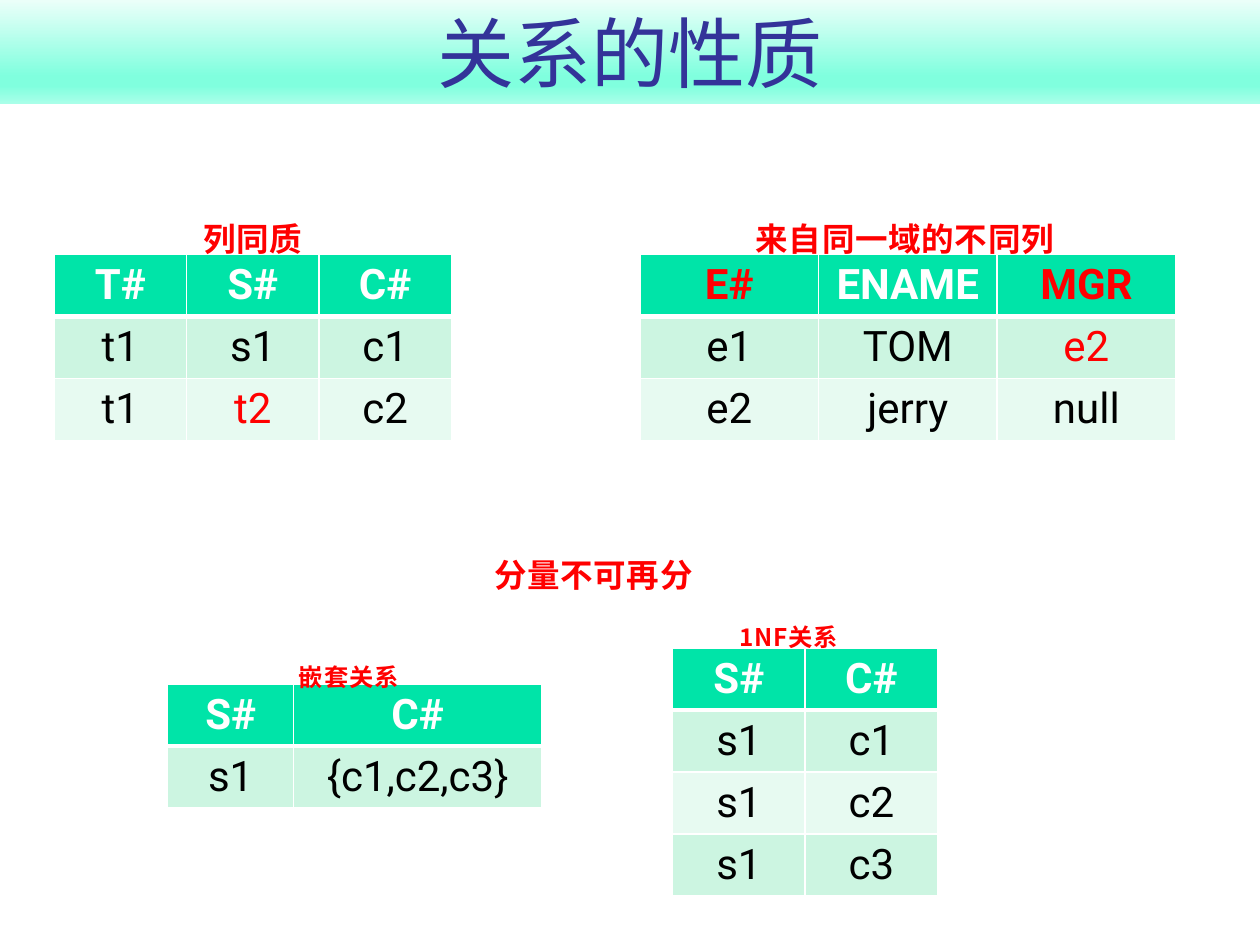
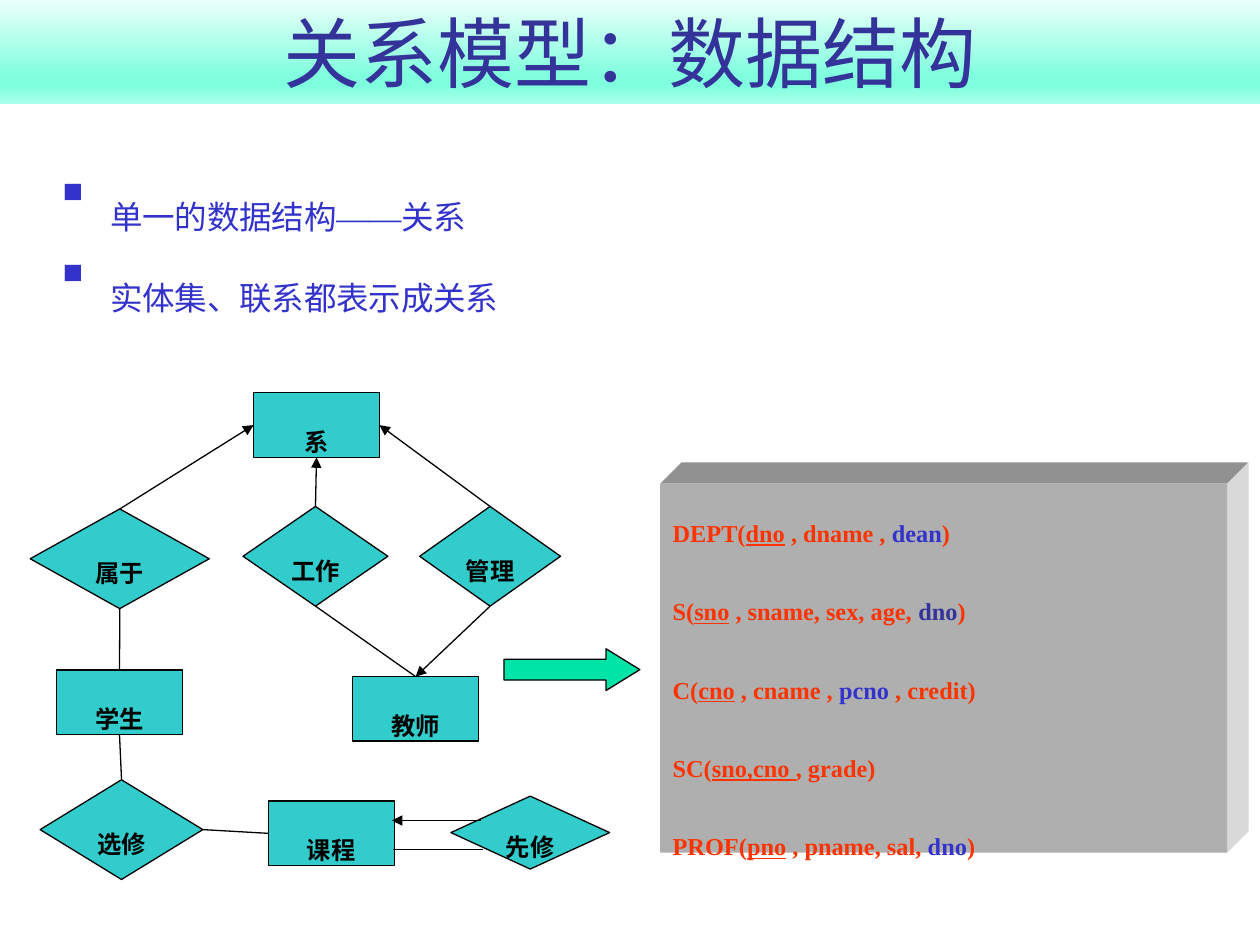
from lxml.etree import SubElement as Sub
from pptx import Presentation
from pptx.dml.color import RGBColor
from pptx.enum.shapes import MSO_CONNECTOR as Link, MSO_SHAPE as Kind
from pptx.enum.text import MSO_ANCHOR as Anchor, MSO_AUTO_SIZE as Auto, PP_ALIGN as Align
from pptx.oxml.ns import qn
from pptx.util import Cm, Pt

# Shared look
SANS, HAN, SERIF = "Roboto", "Noto Sans CJK JP", "Times New Roman"
NAVY, BLUE, RED, ORANGE = "333399", "3333CC", "FF0000", "FF3300"
BLACK, WHITE, GREEN, TEAL = "000000", "FFFFFF", "00E4A8", "33CCCC"
STRIPES = ["E7FAF1", "CCF5E1"]
FRONT, TOP, SIDE = "AFAFAF", "919191", "D9D9D9"
BAND = [(0, "F1FFFB"), (74, "80FFDE"), (83, "80FFDE"), (100, "AAFFE9")]
SUBSCRIPT = -25000

# Slide 1: (left, top), column widths, rows, red cells as (row, column)
ROW = 1.25
TABLES = [
    ((1.09, 5.13), [2.67] * 3,
     ["T# S# C#", "t1 s1 c1", "t1 t2 c2"], [(2, 1)]),
    ((12.9, 5.13), [3.6] * 3,
     ["E# ENAME MGR", "e1 TOM e2", "e2 jerry null"], [(0, 0), (0, 2), (1, 2)]),
    ((3.38, 13.79), [2.54, 5], ["S# C#", "s1 {c1,c2,c3}"], []),
    ((13.56, 13.06), [2.67] * 2, ["S# C#", "s1 c1", "s1 c2", "s1 c3"], []),
]
CAPTIONS = [
    ("列同质", 32, (3.1, 3.53, 3.99, 1.63)),
    ("来自同一域的不同列", 32, (12.78, 3.53, 10.92, 1.63)),
    ("分量不可再分", 32, (8.23, 10.31, 7.47, 1.63)),
    ("嵌套关系", 24, (5.03, 12.65, 4.01, 1.27)),
    ("1NF关系", 24, (13.97, 11.84, 3.86, 1.27)),
]

# Slide 2
POINTS = [
    [("单一的数据结构", SANS), ("——", SERIF), ("关系", SANS)],
    [("实体集、联系都表示成关系", SANS)],
]
SETS = {"学生": (1.14, 13.51), "系": (5.11, 7.92),
        "教师": (7.11, 13.64), "课程": (5.41, 16.15)}
SET_SIZE = (2.54, 1.3)
TIES = {"选修": (0.81, 15.72, 3.28, 2.01), "属于": (0.61, 10.26, 3.61, 2.01),
        "工作": (4.9, 10.21, 2.92, 2.01), "管理": (8.46, 10.21, 2.84, 2.01),
        "先修": (9.09, 16.05, 3.2, 1.47)}
# Connection sites: 0 top, 1 left, 2 bottom, 3 right
EDGES = [
    ("学生", 0, "属于", 2, False), ("学生", 2, "选修", 0, False),
    ("工作", 2, "教师", 0, False), ("管理", 2, "教师", 0, True),
    ("属于", 0, "系", 1, True), ("工作", 0, "系", 2, True),
    ("管理", 0, "系", 3, True), ("选修", 3, "课程", 1, False),
]
LOOPS = [((7.92, 17.12, 9.73, 17.12), False), ((9.7, 16.54, 7.9, 16.54), True)]
# Relation: head, key, columns, foreign key, end; colour of the foreign key
SCHEMA = [
    (("DEPT(", "dno", " , dname , ", "dean", ")"), BLUE),
    (("S(", "sno", " , sname, sex, age, ", "dno", ")"), NAVY),
    (("C(", "cno", " , cname , ", "pcno ", ", credit)"), BLUE),
    (("SC(", "sno,cno ", ", grade)", "", ""), BLUE),
    (("PROF(", "pno", " , pname, sal, ", "dno", ")"), BLUE),
]
BOX, DEPTH = (13.31, 9.75, 11.43, 7.44), 0.43


def rgb(code):
    return RGBColor.from_string(code)


def cms(nums):
    return [Cm(n) for n in nums]


def style(run, size, font, color, bold=False, low=True):
    """Format a run; low sets it as a subscript."""
    face = run.font
    face.size, face.name, face.bold = Pt(size), font, bold
    face.color.rgb = rgb(color)
    props = face._element
    Sub(props, qn("a:ea"), typeface=font)
    if low:
        props.set("baseline", str(SUBSCRIPT))
    return run


def add(par, text, *look, **more):
    run = par.add_run()
    run.text = text
    return style(run, *look, **more)


def lead(par, share):
    """Space before a paragraph, in percent of the line."""
    par.space_before = Pt(0)
    gap = par._p.pPr.find(qn("a:spcBef"))
    gap.remove(gap[0])
    Sub(gap, qn("a:spcPct"), val=str(share * 1000))


def paint(shape, fill, line=None):
    shape.shadow.inherit = False
    shape.fill.solid()
    shape.fill.fore_color.rgb = rgb(fill)
    if line:
        shape.line.color.rgb = rgb(line)
        shape.line.width = Pt(0.75)
    else:
        shape.line.fill.background()
    return shape


def start(deck, text):
    """New slide with the gradient title band."""
    slide = deck.slides.add_slide(deck.slide_layouts[5])
    title = slide.shapes.title
    title.left, title.top, title.width, title.height = cms((0, -0.08, 25.4, 2.18))
    title.fill.gradient()
    title.fill.gradient_angle = 270
    stops = title.fill._fill._gradFill.find(qn("a:gsLst"))
    for stop in list(stops):
        stops.remove(stop)
    for pos, code in BAND:
        stop = Sub(stops, qn("a:gs"), pos=str(pos * 1000))
        Sub(stop, qn("a:srgbClr"), val=code)
    frame = title.text_frame
    frame.text = text
    frame.auto_size, frame.vertical_anchor = Auto.NONE, Anchor.BOTTOM
    frame.paragraphs[0].alignment = Align.CENTER
    style(frame.paragraphs[0].runs[0], 44, SANS, NAVY, low=False)
    return slide


def edge(cell, row):
    """White borders, thick below the header row."""
    props = cell._tc.get_or_add_tcPr()
    thick = {"lnB": row == 0, "lnT": row == 1}
    for side in ("lnL", "lnR", "lnT", "lnB"):
        width = Pt(3 if thick.get(side) else 1)
        line = Sub(props, qn("a:" + side), w=str(width))
        Sub(Sub(line, qn("a:solidFill")), qn("a:srgbClr"), val=WHITE)


def grid(slide, spot, widths, rows, reds):
    size = cms((*spot, sum(widths), ROW * len(rows)))
    table = slide.shapes.add_table(len(rows), len(widths), *size).table
    for col, width in zip(table.columns, widths):
        col.width = Cm(width)
    for r, row in enumerate(rows):
        table.rows[r].height = Cm(ROW)
        for c, text in enumerate(row.split()):
            cell = table.cell(r, c)
            edge(cell, r)
            cell.fill.solid()
            cell.fill.fore_color.rgb = rgb(STRIPES[r % 2] if r else GREEN)
            cell.text = text
            par = cell.text_frame.paragraphs[0]
            par.alignment = Align.CENTER
            color = RED if (r, c) in reds else BLACK if r else WHITE
            style(par.runs[0], 24, SANS, color, bold=r == 0, low=False)


def caption(slide, text, size, place):
    frame = slide.shapes.add_textbox(*cms(place)).text_frame
    frame.word_wrap = False
    frame.text = text
    par = frame.paragraphs[0]
    par.alignment = Align.CENTER
    run = style(par.runs[0], size, HAN, RED, bold=True)
    run.font._element.set("spc", "50")


def points(slide):
    frame = slide.shapes.add_textbox(*cms((1.02, 3.12, 22.61, 3.35))).text_frame
    frame.word_wrap = True
    for i, parts in enumerate(POINTS):
        par = frame.add_paragraph() if i else frame.paragraphs[0]
        par.alignment, par.line_spacing = Align.JUSTIFY, 0.9
        lead(par, 20)
        props = par._p.pPr
        props.set("marL", str(Cm(0.95)))
        props.set("indent", str(-Cm(0.95)))
        Sub(Sub(props, qn("a:buClr")), qn("a:srgbClr"), val=BLUE)
        Sub(props, qn("a:buSzPct"), val="60000")
        Sub(props, qn("a:buFont"), typeface=SERIF)
        Sub(props, qn("a:buChar"), char="■")
        for text, font in parts:
            add(par, text, 32, font, BLUE)


def node(slide, kind, text, place):
    shape = paint(slide.shapes.add_shape(kind, *cms(place)), TEAL, BLACK)
    frame = shape.text_frame
    frame.text = text
    par = frame.paragraphs[0]
    par.alignment = Align.CENTER
    frame.word_wrap = kind == Kind.RECTANGLE
    if kind == Kind.RECTANGLE:
        frame.vertical_anchor = Anchor.TOP
        lead(par, 50)
    else:
        frame.vertical_anchor = Anchor.MIDDLE
    style(par.runs[0], 24, HAN, BLACK, bold=True)
    return shape


def link(slide, ends, arrow):
    line = slide.shapes.add_connector(Link.STRAIGHT, *cms(ends))
    line.line.color.rgb, line.line.width = rgb(BLACK), Pt(0.75)
    if arrow:
        Sub(line.line._get_or_add_ln(), qn("a:tailEnd"), type="triangle")
    Sub(line._element.spPr, qn("a:effectLst"))
    return line


def diagram(slide):
    nodes = {}
    for text, spot in SETS.items():
        nodes[text] = node(slide, Kind.RECTANGLE, text, spot + SET_SIZE)
    for text, place in TIES.items():
        nodes[text] = node(slide, Kind.DIAMOND, text, place)
    for tail, out, head, into, arrow in EDGES:
        line = link(slide, (0, 0, 1, 1), arrow)
        line.begin_connect(nodes[tail], out)
        line.end_connect(nodes[head], into)
    for ends, arrow in LOOPS:
        link(slide, ends, arrow)


def block(slide):
    """Raised block that lists the relations."""
    x, y, w, h = BOX
    right, low, d = x + w, y + h, DEPTH
    faces = [
        (TOP, [(x, y), (x + d, y - d), (right + d, y - d), (right, y)]),
        (SIDE, [(right, y), (right + d, y - d), (right + d, low - d), (right, low)]),
    ]
    for color, spots in faces:
        first, *rest = [tuple(cms(spot)) for spot in spots]
        outline = slide.shapes.build_freeform(*first)
        outline.add_line_segments(rest)
        paint(outline.convert_to_shape(), color)
    front = paint(slide.shapes.add_shape(Kind.RECTANGLE, *cms(BOX)), FRONT)
    frame = front.text_frame
    frame.word_wrap, frame.vertical_anchor = True, Anchor.TOP
    for i, (parts, blue) in enumerate(SCHEMA):
        par = frame.add_paragraph() if i else frame.paragraphs[0]
        par.alignment = Align.LEFT
        lead(par, 50)
        for j, text in enumerate(parts):
            if text:
                run = add(par, text, 24, SERIF, blue if j == 3 else ORANGE, bold=True)
                run.font.underline = j == 1


def main():
    deck = Presentation()
    deck.slide_width, deck.slide_height = Cm(25.4), Cm(19.05)

    # Properties of relations
    slide = start(deck, "关系的性质")
    for item in TABLES:
        grid(slide, *item)
    for item in CAPTIONS:
        caption(slide, *item)

    # Data structure
    slide = start(deck, "关系模型：数据结构")
    points(slide)
    arrow = slide.shapes.add_shape(Kind.RIGHT_ARROW, *cms((10.16, 13.08, 2.74, 0.84)))
    arrow.adjustments[0], arrow.adjustments[1] = 0.5, 0.81
    paint(arrow, GREEN, BLACK)
    block(slide)
    diagram(slide)

    deck.save("out.pptx")


if __name__ == "__main__":
    main()
